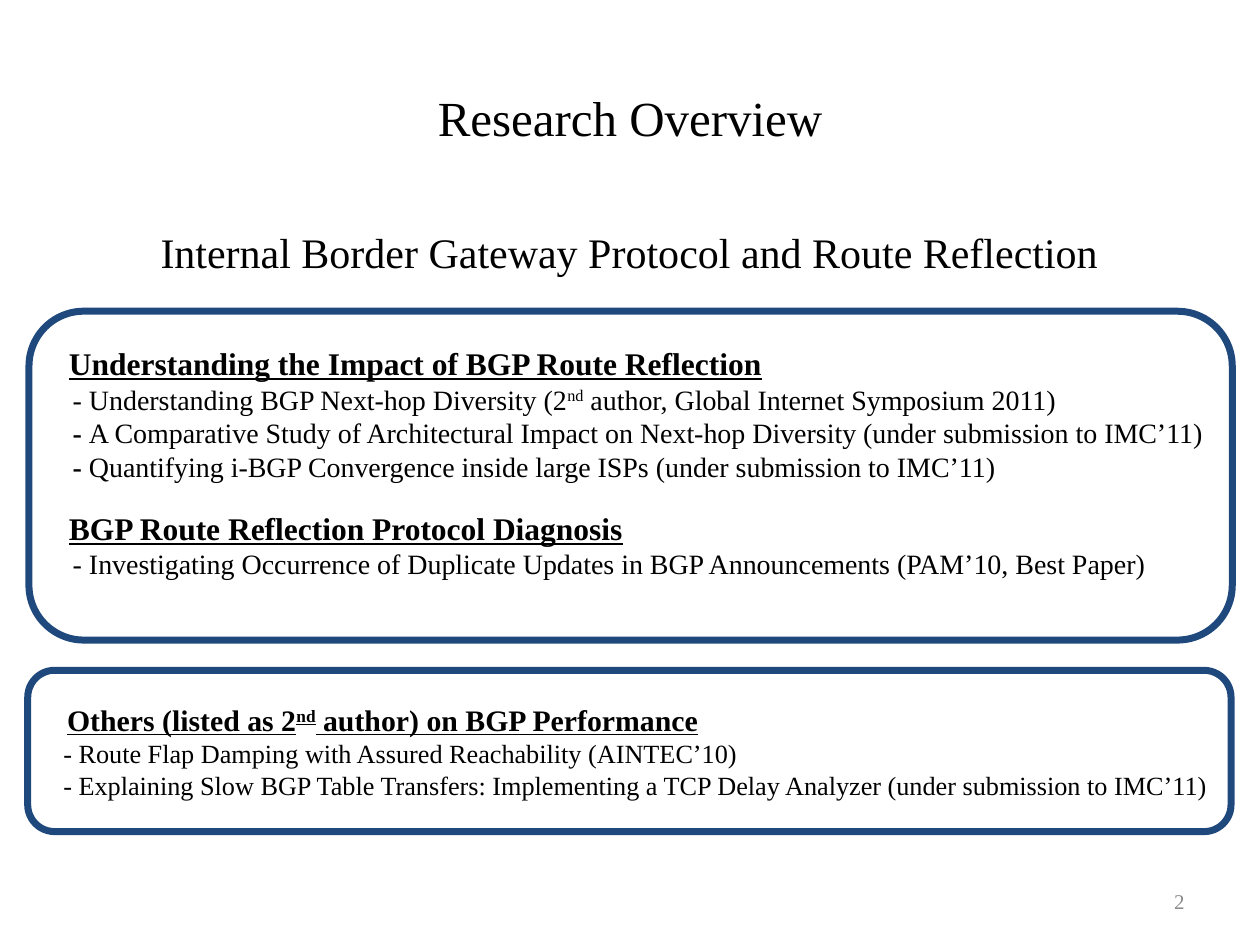
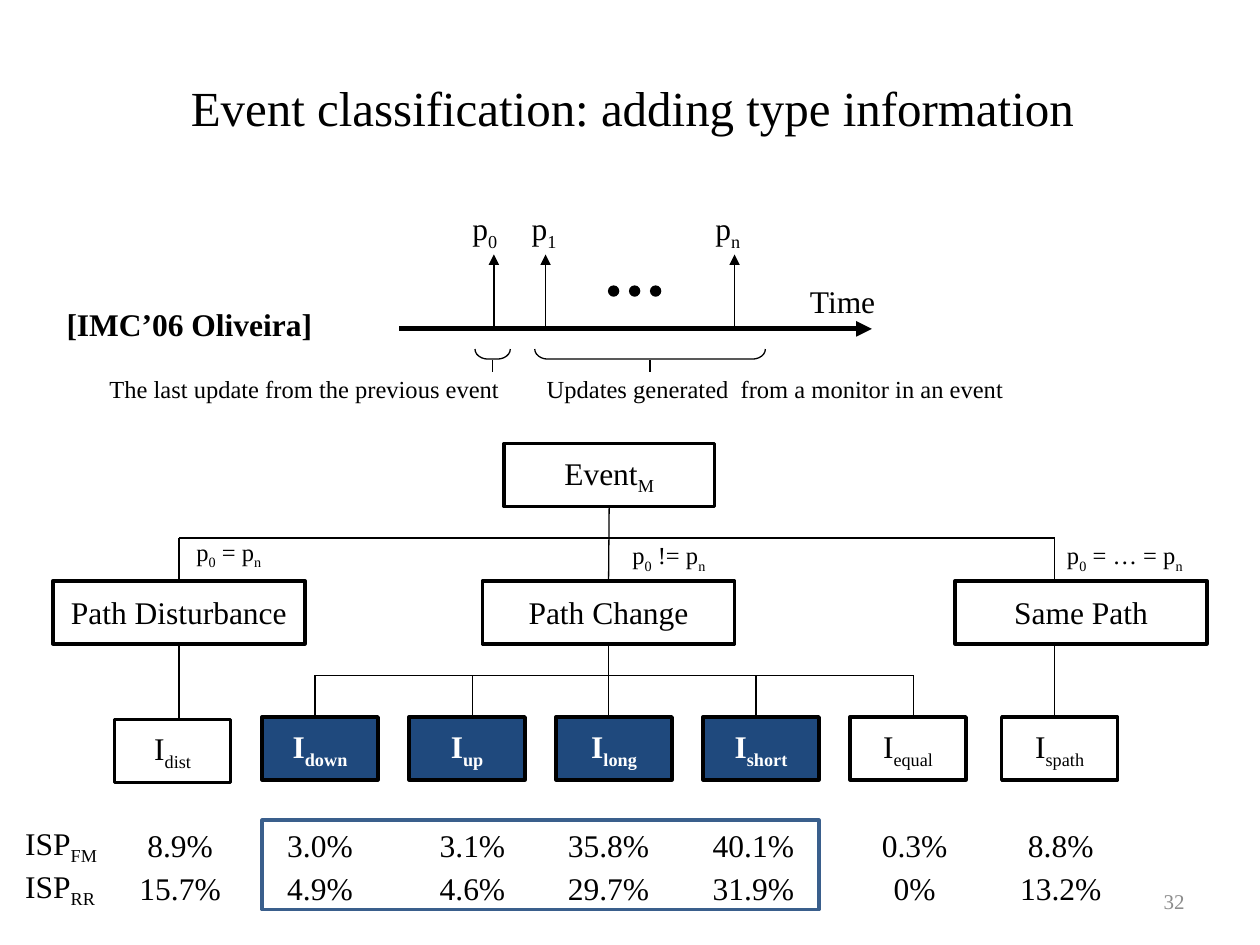
from pptx import Presentation
from pptx import util as u
from pptx.dml.color import RGBColor
from pptx.enum import shapes, text
from pptx.oxml.ns import qn
from lxml import etree

BLACK = RGBColor(0x00, 0x00, 0x00)
WHITE = RGBColor(0xFF, 0xFF, 0xFF)
GREY = RGBColor(0x8C, 0x8C, 0x8C)
NAVY = RGBColor(0x1F, 0x49, 0x7D)
FRAME_BLUE = RGBColor(0x3A, 0x5F, 0x8C)
FONT = "Times New Roman"
SLIDE_WIDTH, SLIDE_HEIGHT = u.Inches(10), u.Inches(7.5)
GRID = SLIDE_WIDTH // 10  # ten columns by seven and a half rows
TOP, BOTTOM = 0, 2  # connection sites of a rectangle
LEFT, CENTER, RIGHT = text.PP_ALIGN.LEFT, text.PP_ALIGN.CENTER, text.PP_ALIGN.RIGHT


def cells(*values):
    return [round(value * GRID) for value in values]


def add_run(paragraph, content, size, color=BLACK, bold=False, underline=False,
            italic=False, baseline=0):
    run = paragraph.add_run()
    run.text = content
    font = run.font
    font.name, font.size, font.color.rgb = FONT, u.Pt(size), color
    font.bold, font.underline, font.italic = bold, underline, italic
    if baseline:
        font._element.set("baseline", str(baseline))


def write(paragraph, content, size, align=LEFT, baseline=-25000, **style):
    """Write text in which {braces} mark subscripts or superscripts."""
    paragraph.alignment = align
    for index, part in enumerate(content.replace("}", "{").split("{")):
        if part:
            add_run(paragraph, part, size, baseline=baseline * (index % 2), **style)


def label(slide, box, content, size, align=LEFT, anchor=text.MSO_ANCHOR.TOP, **style):
    frame = slide.shapes.add_textbox(*cells(*box)).text_frame
    frame.word_wrap = False
    frame.vertical_anchor = anchor
    write(frame.paragraphs[0], content, size, align, **style)


def start_slide(presentation, title, title_box, number):
    slide = presentation.slides.add_slide(presentation.slide_layouts[5])
    holder = slide.shapes.title
    holder.left, holder.top, holder.width, holder.height = cells(*title_box)
    holder.text_frame.vertical_anchor = text.MSO_ANCHOR.MIDDLE
    write(holder.text_frame.paragraphs[0], title, 28, CENTER)
    label(slide, (7.17, 6.95, 2.33, 0.4), number, 12, RIGHT,
          text.MSO_ANCHOR.MIDDLE, color=GREY)
    return slide


def outline(slide, kind, box, line_color=BLACK, width=2, fill=None):
    shape = slide.shapes.add_shape(kind, *cells(*box))
    shape.shadow.inherit = False
    if fill is None:
        shape.fill.background()
    else:
        shape.fill.solid()
        shape.fill.fore_color.rgb = fill
    shape.line.color.rgb = line_color
    shape.line.width = u.Pt(width)
    return shape


def node(slide, box, content, highlighted=False):
    shape = outline(slide, shapes.MSO_SHAPE.RECTANGLE, box,
                    fill=NAVY if highlighted else None)
    frame = shape.text_frame
    frame.word_wrap = False
    frame.vertical_anchor = text.MSO_ANCHOR.MIDDLE
    write(frame.paragraphs[0], content, 18, CENTER,
          color=WHITE if highlighted else BLACK, bold=highlighted)
    return shape


def line(slide, start, end, width=0.75, arrow=False, begin=None, finish=None):
    """Draw a straight line; begin and finish are (shape, site) joins."""
    connector = slide.shapes.add_connector(
        shapes.MSO_CONNECTOR.STRAIGHT, *cells(*start, *end))
    connector.line.color.rgb = BLACK
    connector.line.width = u.Pt(width)
    if arrow:
        head = etree.SubElement(connector.line._get_or_add_ln(), qn("a:tailEnd"))
        head.set("type", "triangle")
    etree.SubElement(connector._element.spPr, qn("a:effectLst"))
    if begin:
        connector.begin_connect(*begin)
    if finish:
        connector.end_connect(*finish)


def branch(slide, bus, drops, bottom, joins):
    """Draw a horizontal bus with a drop at each x; joins maps x to a shape."""
    line(slide, (drops[0], bus), (drops[-1], bus))
    for x in drops:
        target = joins.get(x)
        line(slide, (x, bus), (x, bottom), finish=(target, TOP) if target else None)


def brace(slide, center, width):
    """Draw a bracket that opens upwards below the time axis."""
    depth, middle = 0.08, 2.81
    shape = outline(slide, shapes.MSO_SHAPE.LEFT_BRACKET,
                    (center - depth / 2, middle - width / 2, depth, width), width=0.75)
    shape.rotation = 270
    shape.adjustments[0] = 1.3
    line(slide, (center, 2.95), (center, 2.86))


def publication_box(slide, box, sections, heading_size, item_size, indents, bottom=0.05):
    """Draw a rounded box; each section is a heading and (dash style, item) pairs."""
    shape = outline(slide, shapes.MSO_SHAPE.ROUNDED_RECTANGLE, box, NAVY, 4)
    frame = shape.text_frame
    frame.word_wrap = True
    frame.vertical_anchor = text.MSO_ANCHOR.MIDDLE
    frame.margin_left = frame.margin_right = 0
    frame.margin_bottom = cells(bottom)[0]
    heading_indent, item_indent = cells(*indents)
    paragraph = frame.paragraphs[0]
    for index, (heading, items) in enumerate(sections):
        if index:
            paragraph = frame.add_paragraph()
            paragraph.space_before = u.Pt(15)
        paragraph._p.get_or_add_pPr().set("marL", str(heading_indent))
        write(paragraph, heading, heading_size, baseline=30000, bold=True, underline=True)
        for dash_style, item in items:
            paragraph = frame.add_paragraph()
            paragraph._p.get_or_add_pPr().set("marL", str(item_indent))
            add_run(paragraph, "- ", item_size, **dash_style)
            write(paragraph, item, item_size, baseline=30000)


def share_table(slide, box, widths, rows):
    table = slide.shapes.add_table(len(rows), len(widths), *cells(*box)).table
    table.first_row = table.horz_banding = False
    for column, width in zip(table.columns, cells(*widths)):
        column.width = width
    for row, values in enumerate(rows):
        for column, value in enumerate(values):
            cell = table.cell(row, column)
            cell.fill.background()
            cell.margin_top = cell.margin_bottom = cell.margin_right = 0
            cell.margin_left = 0 if column else cells(0.1)[0]
            cell.vertical_anchor = text.MSO_ANCHOR.MIDDLE
            write(cell.text_frame.paragraphs[0], value, 18, CENTER if column else LEFT)


def research_overview(presentation):
    slide = start_slide(presentation, "Research Overview", (0.5, 0.3, 9, 1.25), "2")
    label(slide, (0.32, 1.75, 9.35, 0.5),
          "Internal Border Gateway Protocol and Route Reflection", 24, CENTER)
    italic, bold, plain = {"italic": True}, {"bold": True}, {}
    publication_box(slide, (0.23, 2.47, 9.55, 2.61), [
        ("Understanding the Impact of BGP Route Reflection", [
            (italic, "Understanding BGP Next-hop Diversity "
                     "(2{nd} author, Global Internet Symposium 2011)"),
            (bold, "A Comparative Study of Architectural Impact on Next-hop Diversity "
                   "(under submission to IMC’11)"),
            (bold, "Quantifying i-BGP Convergence inside large ISPs "
                   "(under submission to IMC’11)")]),
        ("BGP Route Reflection Protocol Diagnosis", [
            (italic, "Investigating Occurrence of Duplicate Updates in BGP Announcements "
                     "(PAM’10, Best Paper)")]),
    ], 18, 16, (0.19, 0.22), bottom=0.26)
    publication_box(slide, (0.22, 5.32, 9.55, 1.28), [
        ("Others (listed as 2{nd} author) on BGP Performance", [
            (italic, "Route Flap Damping with Assured Reachability (AINTEC’10)"),
            (plain, "Explaining Slow BGP Table Transfers: Implementing a TCP Delay Analyzer "
                    "(under submission to IMC’11)")]),
    ], 17, 15, (0.25, 0.22))


def draw_timeline(slide):
    axis = 2.61
    line(slide, (3.17, axis), (6.92, axis), width=3, arrow=True)
    for x, name_left, name in ((3.92, 3.65, "p{0}"), (4.33, 4.12, "p{1}"),
                               (5.83, 5.58, "p{n}")):
        line(slide, (x, axis), (x, 2.02), arrow=True)
        label(slide, (name_left, 1.61, 0.42, 0.4), name, 18)
    for index in range(3):
        outline(slide, shapes.MSO_SHAPE.OVAL, (4.83 + index / 6, 2.27, 0.08, 0.08),
                width=0.75, fill=BLACK)
    brace(slide, 3.91, 0.28)
    brace(slide, 5.16, 1.83)
    label(slide, (6.33, 2.19, 0.73, 0.4), "Time", 18)
    label(slide, (0.43, 2.37, 2.16, 0.4), "[IMC’06 Oliveira]", 18, bold=True)
    label(slide, (0.77, 2.92, 3.4, 0.34), "The last update from the previous event", 14)
    label(slide, (4.24, 2.92, 3.95, 0.34),
          "Updates generated  from a monitor in an event", 14)


def draw_event_tree(slide):
    event = node(slide, (4, 3.52, 1.67, 0.5), "Event{M}")
    disturbance, change, same = [
        node(slide, (left, 4.61, 2, 0.5), name)
        for left, name in ((0.42, "Path Disturbance"), (3.83, "Path Change"),
                           (7.58, "Same Path"))]
    node(slide, (0.91, 5.71, 0.92, 0.5), "I{dist}")
    for index, name in enumerate(("down", "up", "long", "short", "equal")):
        node(slide, (2.08 + index * 7 / 6, 5.69, 0.92, 0.5), f"I{{{name}}}",
             highlighted=name != "equal")
    node(slide, (7.95, 5.69, 0.92, 0.5), "I{spath}")

    line(slide, (4.83, 4.02), (4.83, 4.61), begin=(event, BOTTOM), finish=(change, TOP))
    branch(slide, 4.27, (1.42, 8.37), 4.61, {1.42: disturbance})
    line(slide, (1.42, 5.11), (1.42, 5.71), begin=(disturbance, BOTTOM))
    line(slide, (4.83, 5.11), (4.83, 5.69), begin=(change, BOTTOM))
    line(slide, (8.37, 5.11), (8.37, 5.69))
    branch(slide, 5.36, (2.5, 3.75, 6, 7.25), 5.69, {})

    for box, condition in (((1.46, 4.21, 0.74, 0.34), "p{0} = p{n}"),
                           ((4.92, 4.24, 0.8, 0.34), "p{0} != p{n}"),
                           ((8.37, 4.24, 1.14, 0.34), "p{0} = … = p{n}")):
        label(slide, box, condition, 14)


def event_classification(presentation):
    slide = start_slide(presentation, "Event classification: adding type information",
                        (0.27, 0.22, 9.5, 1.25), "32")
    draw_timeline(slide)
    draw_event_tree(slide)
    share_table(slide, (0.1, 6.55, 8.92, 0.68),
                (0.78, 1.1, 1.12, 1.3, 0.86, 1.44, 1.12, 1.2), [
        ("ISP{FM}", "8.9%", "3.0%", "3.1%", "35.8%", "40.1%", "0.3%", "8.8%"),
        ("ISP{RR}", "15.7%", "4.9%", "4.6%", "29.7%", "31.9%", "0%", "13.2%")])
    outline(slide, shapes.MSO_SHAPE.RECTANGLE, (2.08, 6.51, 4.42, 0.71), FRAME_BLUE)


def main():
    presentation = Presentation()
    presentation.slide_width, presentation.slide_height = SLIDE_WIDTH, SLIDE_HEIGHT
    research_overview(presentation)
    event_classification(presentation)
    presentation.save("out.pptx")


if __name__ == "__main__":
    main()
